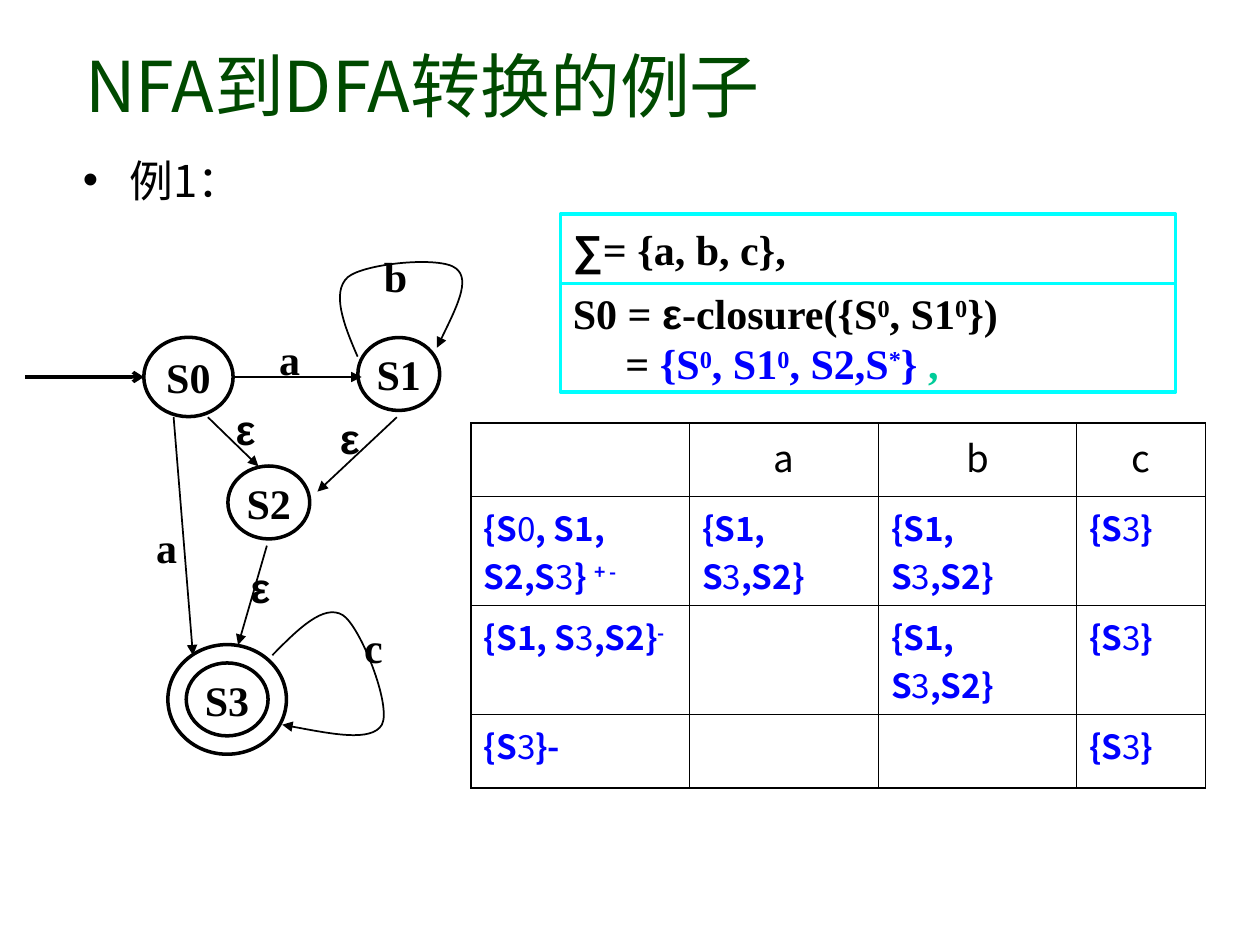
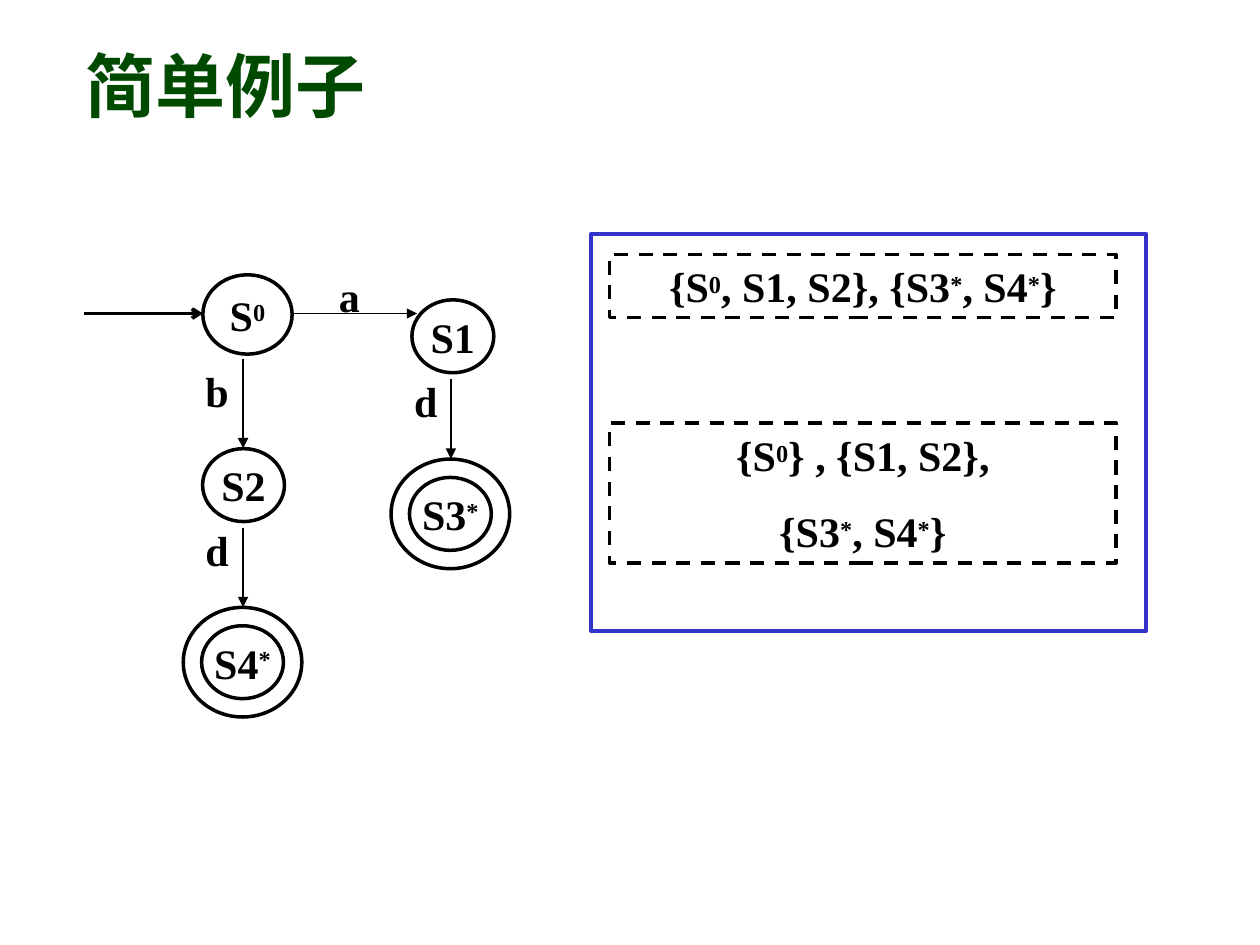
from dataclasses import dataclass

from lxml.etree import SubElement
from pptx import Presentation
from pptx.dml.color import RGBColor
from pptx.enum.dml import MSO_LINE_DASH_STYLE as Dash
from pptx.enum.shapes import MSO_CONNECTOR as Link, MSO_SHAPE as Preset
from pptx.enum.text import MSO_ANCHOR as Anchor, PP_ALIGN as Align
from pptx.oxml.ns import qn
from pptx.util import Cm, Pt


@dataclass(frozen=True)
class Theme:
    ink: str = "000000"
    title: str = "004A00"
    states: str = "0000FF"
    comma: str = "00CC99"
    closure: str = "00FFFF"
    frame: str = "3333CC"
    cjk: str = "Noto Sans CJK KR"
    serif: str = "Times New Roman"
    sans: str = "Arial"
    title_size: int = 40
    body_size: int = 25
    label_size: int = 24
    head_size: int = 21
    cell_size: int = 19
    bold_line: float = 2
    thin_line: float = 1


THEME = Theme()


def run(text, **look):
    return text, look


def sup(text, lift=28, **look):
    return run(text, lift=lift, **look)


def blue(text):
    return run(text, color=THEME.states)


ZERO, STAR = sup("0", 22), sup("*", 22)
EPSILON = run("ε", face=THEME.sans)
THREE = run("3", bold=False)

# All places are in centimetres.
TITLE_BOX = (1.47, 0.43, 21.56, 2.54)
BODY_BOX = (1.42, 2.97, 21.59, 13.13)
START_SIZE, STATE_SIZE, RING_SIZE = (1.8, 1.6), (1.65, 1.47), (2.39, 2.21)
LABEL_SIZE = (1.25, 1.27)

# state: runs, centre, kind
# edge: start, end, label run, label corner
# loop: Bezier points, label run, label corner
NFA = dict(
    entry=((0.51, 7.6), (2.9, 7.6)),
    states=[
        (["S0"], (3.8, 7.6), "start"),
        (["S1"], (8.04, 7.54), "inner"),
        (["S2"], (5.42, 10.13), "inner"),
        (["S3"], (4.58, 14.1), "final"),
    ],
    edges=[
        ((4.7, 7.6), (7.29, 7.6), "a", (5.38, 6.6)),
        ((4.19, 8.41), (5.21, 9.4), EPSILON, (4.5, 8)),
        ((3.5, 8.41), (3.89, 13.21), "a", (2.9, 10.39)),
        ((8, 8.41), (6.4, 9.91), EPSILON, (6.6, 8.2)),
        ((5.38, 11), (4.8, 13), EPSILON, (4.8, 11.2)),
    ],
    loops=[
        ([(7.21, 7.19), (6.93, 6.55), (6.68, 5.89), (7.01, 5.59), (7.34, 5.31),
          (8.89, 5.16), (9.19, 5.41), (9.5, 5.64), (9.14, 6.32), (8.81, 7.01)],
         "b", (7.49, 4.93)),
        ([(5.49, 13.21), (6.02, 12.67), (6.53, 12.17), (6.91, 12.4), (7.26, 12.62),
          (7.9, 14.22), (7.7, 14.61), (7.49, 14.96), (6.6, 14.78), (5.69, 14.61)],
         "c", (7.09, 12.4)),
    ],
)

DFA = dict(
    entry=((1.7, 6.32), (4.09, 6.32)),
    states=[
        (["S", ZERO], (4.99, 6.34), "start"),
        (["S1"], (9.13, 6.78), "inner"),
        (["S2"], (4.91, 9.78), "inner"),
        (["S3", sup("*", 24)], (9.08, 10.36), "final"),
        (["S4", sup("*", 24)], (4.89, 13.35), "final"),
    ],
    edges=[
        ((5.89, 6.32), (8.41, 6.32), "a", (6.58, 5.33)),
        ((4.9, 7.24), (4.9, 9.04), "b", (3.89, 7.24)),
        ((9.09, 7.65), (9.09, 9.25), "d", (8.1, 7.44)),
        ((4.9, 10.64), (4.9, 12.24), "d", (3.89, 10.44)),
    ],
    loops=[],
)

ALPHABET = [[run("∑", face=THEME.sans), "= {a, b, c},"]]
CLOSURE = [
    ["S0 = ", EPSILON, "-closure({S", sup("0"), ", S1", sup("0"), "})"],
    ["= ", blue("{S"), sup("0", color=THEME.states), blue(", S1"),
     sup("0", color=THEME.states), blue(", S2,S"),
     sup("*", color=THEME.states), blue("}"), run(" ,", color=THEME.comma)],
]
CLOSURE_BOXES = [
    (ALPHABET, (11.3, 4.32, 12.4, 1.4), (0,)),
    (CLOSURE, (11.3, 5.72, 12.4, 2.18), (0, 1.06)),
]

S123 = ["{S1, S", THREE, ",S2}"]
S3 = ["{S", THREE, "}"]
S0123 = ["{S", run("0", bold=False), ", S1, S2,S", THREE, "} ", sup("+ -", 30)]
TRANSITIONS = [
    [[], ["a"], ["b"], ["c"]],
    [S0123, S123, S123, S3],
    [S123 + [sup("-", 30)], [], S123, S3],
    [["{S", THREE, "}-"], [], [], S3],
]
TABLE_CORNER = (9.5, 8.53)
COLUMN_WIDTHS = (4.4, 3.81, 3.99, 2.6)
ROW_HEIGHTS = (1.48, 2.2, 2.2, 1.48)

PARTITION_FRAME = (11.91, 4.72, 11.2, 8)
PARTITIONS = [
    ([["{S", ZERO, ", S1, S2}, {S3", STAR, ", S4", STAR, "}"]],
     (12.29, 5.13, 10.21, 1.27)),
    ([["{S", ZERO, "} , {S1, S2},"], ["{S3", STAR, ", S4", STAR, "}"]],
     (12.29, 8.53, 10.21, 2.82)),
]


def cm(values):
    return [Cm(value) for value in values]


def write(frame, paragraphs, size=THEME.label_size, face=THEME.serif,
          color=THEME.ink, bold=True, align=Align.LEFT, anchor=Anchor.TOP,
          wrap=True, gap=0, indents=(), bullet=None):
    """Fill a text frame; each paragraph is a list of strings and run() pairs."""
    frame.word_wrap = wrap
    frame.vertical_anchor = anchor
    base = dict(face=face, color=color, bold=bold, lift=0)
    for number, parts in enumerate(paragraphs):
        paragraph = frame.add_paragraph() if number else frame.paragraphs[0]
        props = paragraph._p.get_or_add_pPr()
        if bullet:
            props.set("marL", str(Cm(0.95)))
            props.set("indent", str(Cm(-0.95)))
            SubElement(props, qn("a:buFont"), typeface=THEME.sans)
            SubElement(props, qn("a:buChar"), char=bullet)
        elif number < len(indents):
            props.set("marL", str(Cm(indents[number])))
        paragraph.alignment = align
        if number and gap:
            paragraph.space_before = Pt(gap)
        for part in parts:
            text, look = (part, {}) if isinstance(part, str) else part
            style = base | look
            piece = paragraph.add_run()
            piece.text = text
            piece.font.size = Pt(size)
            piece.font.bold = style["bold"]
            piece.font.color.rgb = RGBColor.from_string(style["color"])
            piece.font.name = style["face"]
            run_props = piece._r.get_or_add_rPr()
            SubElement(run_props, qn("a:ea"), typeface=style["face"])
            if style["lift"]:
                run_props.set("baseline", str(style["lift"] * 1000))


def add_text(slide, box, paragraphs, **style):
    write(slide.shapes.add_textbox(*cm(box)).text_frame, paragraphs, **style)


def stroke(shape, color=THEME.ink, width=THEME.bold_line, head=None):
    shape.line.color.rgb = RGBColor.from_string(color)
    shape.line.width = Pt(width)
    if head:
        SubElement(shape.line._get_or_add_ln(), qn("a:tailEnd"), type=head)


def outline(slide, preset, box, color=THEME.ink, width=THEME.bold_line):
    shape = slide.shapes.add_shape(preset, *cm(box))
    shape.shadow.inherit = False
    shape.fill.background()
    stroke(shape, color, width)
    return shape


def ellipse(slide, centre, size):
    corner = [middle - side / 2 for middle, side in zip(centre, size)]
    return outline(slide, Preset.OVAL, (*corner, *size))


def arrow(slide, start, end, width=THEME.thin_line, head="triangle"):
    line = slide.shapes.add_connector(Link.STRAIGHT, *cm(start), *cm(end))
    stroke(line, width=width, head=head)
    SubElement(line._element.spPr, qn("a:effectLst"))


def curve(slide, points):
    """Draw an arrow along cubic Bezier pieces, three points for each."""
    start, *rest = [cm(point) for point in points]
    builder = slide.shapes.build_freeform(*start)
    builder.add_line_segments(rest, close=False)
    shape = builder.convert_to_shape()
    shape.shadow.inherit = False
    shape.fill.background()
    stroke(shape, width=THEME.thin_line, head="triangle")
    steps = list(shape._element.iter(qn("a:lnTo")))
    outline_path = steps[0].getparent()
    for first in range(0, len(steps), 3):
        bezier = SubElement(outline_path, qn("a:cubicBezTo"))
        for step in steps[first:first + 3]:
            bezier.append(step[0])
            outline_path.remove(step)


def draw_automaton(slide, automaton):
    arrow(slide, *automaton["entry"], width=THEME.bold_line, head="arrow")
    for name, centre, kind in automaton["states"]:
        state = ellipse(slide, centre, START_SIZE if kind == "start" else STATE_SIZE)
        write(state.text_frame, [name], align=Align.CENTER,
              anchor=Anchor.MIDDLE, wrap=False)
        if kind == "final":
            ellipse(slide, centre, RING_SIZE)
    for start, end, symbol, corner in automaton["edges"]:
        arrow(slide, start, end)
        add_text(slide, (*corner, *LABEL_SIZE), [[symbol]])
    for points, symbol, corner in automaton["loops"]:
        curve(slide, points)
        add_text(slide, (*corner, *LABEL_SIZE), [[symbol]])


def set_borders(cell, outer):
    """Rule all four sides, heavier on those listed in outer."""
    props = cell._tc.get_or_add_tcPr()
    for side in "LRTB":
        width = Pt(1.08 if side in outer else 0.45)
        line = SubElement(props, qn(f"a:ln{side}"), w=str(width))
        SubElement(SubElement(line, qn("a:solidFill")), qn("a:srgbClr"), val=THEME.ink)


def draw_transitions(slide):
    last_row, last_column = len(ROW_HEIGHTS) - 1, len(COLUMN_WIDTHS) - 1
    size = (sum(COLUMN_WIDTHS), sum(ROW_HEIGHTS))
    table = slide.shapes.add_table(last_row + 1, last_column + 1,
                                   *cm(TABLE_CORNER), *cm(size)).table
    table.first_row = table.horz_banding = False
    for column, width in zip(table.columns, COLUMN_WIDTHS):
        column.width = Cm(width)
    head = dict(size=THEME.head_size, bold=False, align=Align.CENTER)
    body = dict(size=THEME.cell_size, color=THEME.states)
    for r, (height, entries) in enumerate(zip(ROW_HEIGHTS, TRANSITIONS)):
        table.rows[r].height = Cm(height)
        for c, entry in enumerate(entries):
            cell = table.cell(r, c)
            edges = {"T": r == 0, "B": r == last_row, "L": c == 0, "R": c == last_column}
            set_borders(cell, [side for side, outer in edges.items() if outer])
            cell.fill.background()
            if entry:
                write(cell.text_frame, [entry], face=THEME.cjk, **(body if r else head))


def add_titled_slide(deck, title, bold):
    slide = deck.slides.add_slide(deck.slide_layouts[6])
    add_text(slide, TITLE_BOX, [[title]], size=THEME.title_size, face=THEME.cjk,
             color=THEME.title, bold=bold, anchor=Anchor.MIDDLE)
    return slide


def build_conversion(deck):
    slide = add_titled_slide(deck, "NFA到DFA转换的例子", bold=False)
    add_text(slide, BODY_BOX, [["例1："]], size=THEME.body_size, face=THEME.cjk,
             bold=False, bullet="•")
    for paragraphs, box, indents in CLOSURE_BOXES:
        panel = outline(slide, Preset.RECTANGLE, box, THEME.closure)
        write(panel.text_frame, paragraphs, anchor=Anchor.MIDDLE,
              wrap=False, indents=indents)
    draw_transitions(slide)
    draw_automaton(slide, NFA)


def build_simple_example(deck):
    slide = add_titled_slide(deck, "简单例子", bold=True)
    draw_automaton(slide, DFA)
    outline(slide, Preset.RECTANGLE, PARTITION_FRAME, THEME.frame, 2.25)
    for paragraphs, box in PARTITIONS:
        partition = outline(slide, Preset.RECTANGLE, box)
        partition.line.dash_style = Dash.DASH
        write(partition.text_frame, paragraphs, align=Align.CENTER, gap=15)


def main():
    deck = Presentation()
    deck.slide_width, deck.slide_height = Cm(25.4), Cm(19.05)
    build_conversion(deck)
    build_simple_example(deck)
    deck.save("out.pptx")


if __name__ == "__main__":
    main()
